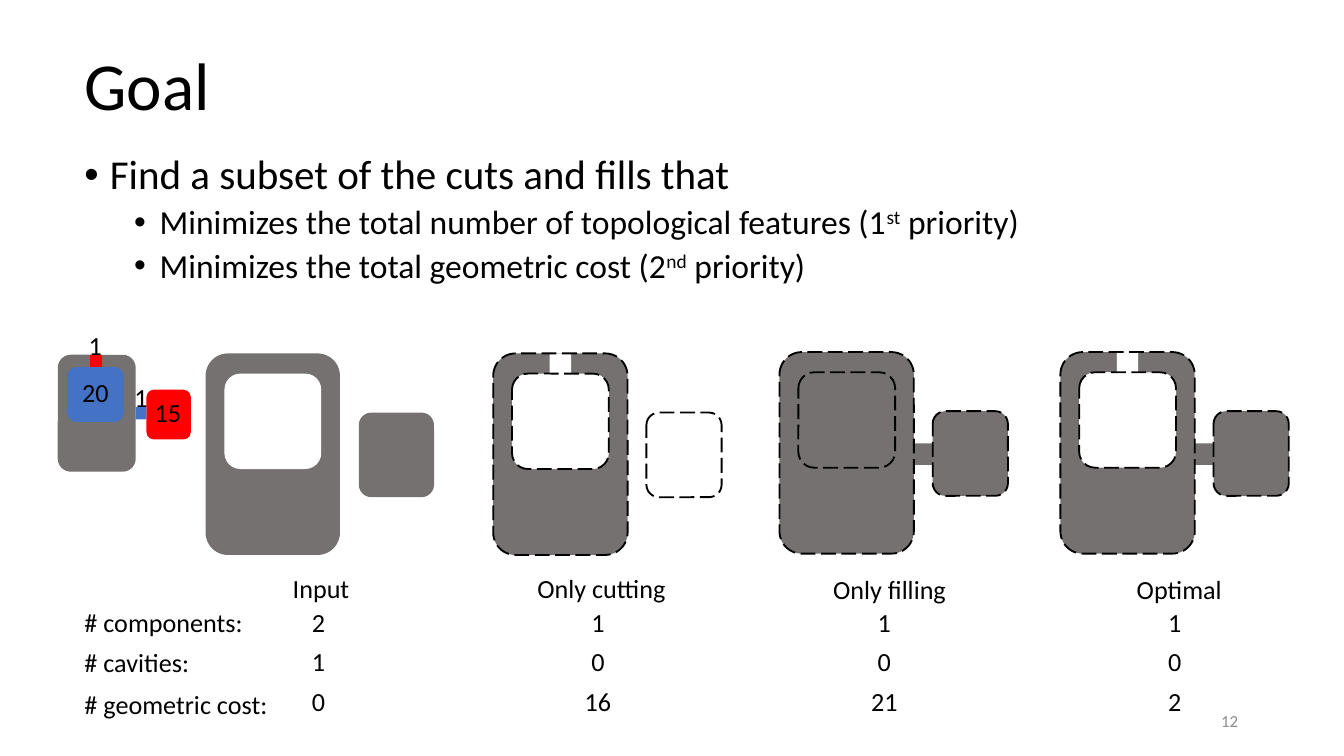
from pptx import Presentation, util as u
from pptx.dml.color import RGBColor
from pptx.enum import dml, shapes, text
from pptx.oxml.ns import qn
from lxml import etree

PX = 9144  # EMU per px, 100 px to the inch
GREY, WHITE, BLACK, RED, BLUE = "767171", "FFFFFF", "000000", "FF0000", "4472C4"
ROUND, RECT = shapes.MSO_SHAPE.ROUNDED_RECTANGLE, shapes.MSO_SHAPE.RECTANGLE
LEFT, CENTER, RIGHT = text.PP_ALIGN.LEFT, text.PP_ALIGN.CENTER, text.PP_ALIGN.RIGHT

# Content: every odd span of a bullet is superscript
BULLETS = [
    (0, ["Find a subset of the cuts and fills that"]),
    (1, ["Minimizes the total number of topological features (1", "st", " priority)"]),
    (1, ["Minimizes the total geometric cost (2", "nd", " priority)"]),
]
BULLET_STYLE = [dict(size=22, indent=19, before=7.5), dict(size=18, indent=56, before=3.8)]

ROWS = [("# components:", 139, 446), ("# cavities:", 99, 476), ("# geometric cost:", 158, 507)]
VALUE_TOPS = [446, 475, 505]

# Parts of a figure: shape and place relative to its top left corner
PARTS = {
    "body": (ROUND, 0, 0, 100, 150),
    "block": (ROUND, 114, 44, 56, 63),
    "window": (ROUND, 14, 15, 72, 71),
    "bridge": (RECT, 94, 68, 21, 16),
    "cut": (RECT, 42, 0, 16, 16),
}
OUTLINED = ["body", "block", "window"]

# Caption, its left, top and width, figure left and top, value centre, values, fills, dashed parts
FIGURES = [
    ("Input", (208, 421, 63), (153, 263), 237, [2, 1, 0],
     dict(body=GREY, block=GREY, window=WHITE), []),
    ("Only cutting", (390, 421, 117), (367, 263), 445, [1, 0, 16],
     dict(body=GREY, window=WHITE, cut=WHITE), OUTLINED),
    ("Only filling", (610, 422, 105), (580, 262), 658, [1, 0, 21],
     dict(body=GREY, block=GREY, window=GREY, bridge=GREY), OUTLINED),
    ("Optimal", (836, 422, 84), (789, 262), 874, [1, 0, 2],
     dict(body=GREY, block=GREY, window=WHITE, bridge=GREY, cut=WHITE), OUTLINED),
]

# Small figure with the cost of each cut (red) and fill (blue)
COST_PARTS = [
    (ROUND, 43, 264, 58, 87, GREY), (ROUND, 109, 290, 33, 37, RED),
    (ROUND, 50, 273, 42, 41, BLUE), (RECT, 101, 303, 8, 9, BLUE), (RECT, 67, 264, 9, 9, RED),
]
COSTS = [("15", 125, 290), ("1", 71, 240), ("20", 71, 275), ("1", 105, 279)]

deck = Presentation()
deck.slide_width = 1000 * PX
deck.slide_height = deck.slide_width * 9 // 16
page = deck.slides.add_slide(deck.slide_layouts[6])


def color(value):
    return RGBColor.from_string(value)


def add_span(para, words, size, fill=BLACK, raised=False):
    span = para.add_run()
    span.text = words
    span.font.size, span.font.name = u.Pt(size), "Calibri"
    span.font.color.rgb = color(fill)
    if raised:
        span.font._element.set("baseline", "30000")


def add_text(words, left, top, width, height=34, size=14, fill=BLACK,
             align=LEFT, anchor=text.MSO_ANCHOR.TOP, wrap=False, spacing=None):
    box = page.shapes.add_textbox(*(int(v * PX) for v in (left, top, width, height)))
    frame = box.text_frame
    frame.word_wrap, frame.vertical_anchor = wrap, anchor
    para = frame.paragraphs[0]
    para.alignment, para.line_spacing = align, spacing
    if words:
        add_span(para, words, size, fill)
    return frame


def add_number(words, center, top):
    width = 20 + 10 * len(words)
    add_text(words, center - width // 2, top, width, align=CENTER)


def add_part(kind, left, top, width, height, fill=None):
    """Filled part, or a dashed outline when no fill is given."""
    part = page.shapes.add_shape(kind, left * PX, top * PX, width * PX, height * PX)
    part.shadow.inherit = False
    if fill:
        part.fill.solid()
        part.fill.fore_color.rgb = color(fill)
        part.line.fill.background()
    else:
        part.fill.background()
        part.line.color.rgb = color(BLACK)
        part.line.width = u.Pt(1)
        part.line.dash_style = dml.MSO_LINE.LONG_DASH


# Title and bullets
add_text("Goal", 53, 30, 712, 72, size=36, anchor=text.MSO_ANCHOR.MIDDLE, wrap=True, spacing=0.9)
frame = add_text("", 53, 110, 910, 130, wrap=True)
for index, (level, spans) in enumerate(BULLETS):
    style = BULLET_STYLE[level]
    para = frame.add_paragraph() if index else frame.paragraphs[0]
    para.level, para.line_spacing = level, 0.9
    para.space_before = u.Pt(style["before"] if index else 0)
    props = para._p.get_or_add_pPr()
    props.set("marL", str(style["indent"] * PX))
    props.set("indent", str(-19 * PX))
    etree.SubElement(props, qn("a:buFont")).set("typeface", "Arial")
    etree.SubElement(props, qn("a:buChar")).set("char", "•")
    for place, words in enumerate(spans):
        add_span(para, words, style["size"], raised=place % 2 == 1)

# Row labels and page number
for label, width, top in ROWS:
    add_text(label, 53, top, width)
add_text("12", 706, 521, 225, 30, size=9, fill="8C8C8C", align=RIGHT,
         anchor=text.MSO_ANCHOR.MIDDLE, wrap=True)

# Four figures with captions and values
for caption, (left, top, width), (x, y), center, values, fills, dashed in FIGURES:
    for name, fill in [*fills.items(), *((name, None) for name in dashed)]:
        kind, dx, dy, w, h = PARTS[name]
        add_part(kind, x + dx, y + dy, w, h, fill)
    add_text(caption, left, top, width)
    for value, value_top in zip(values, VALUE_TOPS):
        add_number(str(value), center, value_top)

# Small cost figure
for part in COST_PARTS:
    add_part(*part)
for cost in COSTS:
    add_number(*cost)

deck.save("out.pptx")
